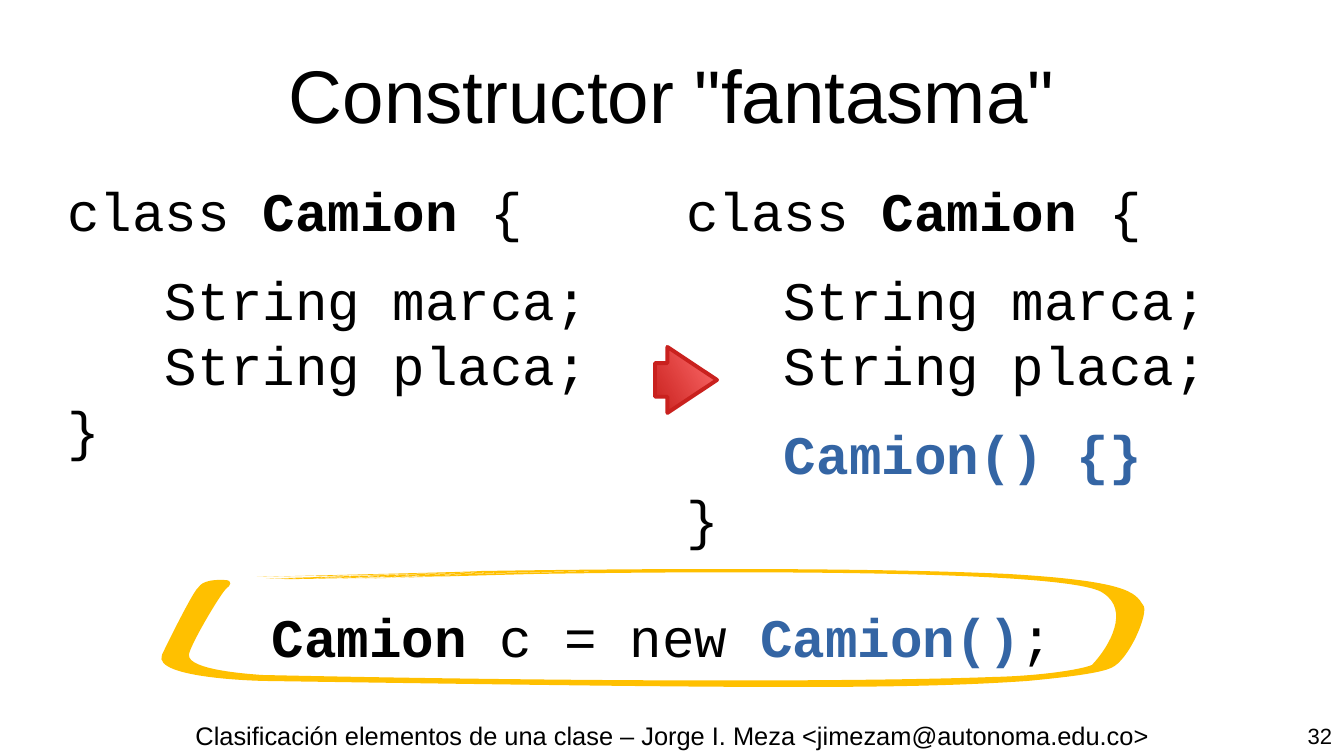
from lxml.etree import SubElement
from pptx import Presentation
from pptx.dml.color import RGBColor as Rgb
from pptx.enum.shapes import MSO_SHAPE as Kind
from pptx.enum.text import MSO_ANCHOR as Anchor, PP_ALIGN as Align
from pptx.oxml.ns import qn
from pptx.util import Pt

PX = 7495
HUES = {"ink": "000000", "blue": "3465A4", "gold": "FFC000",
        "rose": "FF6D6D", "red": "C9211E"}
MONO = "Courier New"
GAP = 14.2
TAB = 98
HEAD = [("class ", {}), ("Camion", {"bold": True}), (" {", {})]
MARK = {"bold": True, "hue": "blue"}
START = (982, 36)
BRUSH = [
    (974, 23, 965, 12, 847, 5), (652, -4, 336, 2, 321, 2),
    (317, 3, 89, 8, 96, 8), (98, 8, 331, 3, 327, 3),
    (301, 3, 140, 8, 156, 7), (167, 7, 371, 2, 384, 2),
    (388, 2, 137, 8, 105, 10), (220, 7, 395, 2, 458, 2),
    (397, 3, 172, 8, 129, 10), (124, 10, 343, 5, 365, 5),
    (372, 5, 165, 8, 123, 10), (120, 11, 264, 7, 325, 6),
    (320, 6, 199, 10, 182, 10), (199, 10, 367, 5, 375, 5),
    (375, 5, 372, 5, 375, 5),
    (376, 5, 903, -5, 942, 24), (969, 41, 949, 77, 931, 96),
    (919, 101, 877, 107, 833, 108), (700, 113, 420, 113, 101, 106),
    (88, 105, 27, 101, 28, 86), (28, 78, 61, 22, 66, 19),
    (68, 18, 74, 11, 63, 11), (39, 10, 38, 19, 37, 19),
    (33, 21, 7, 73, 1, 86), (-9, 110, 103, 112, 105, 112),
    (571, 119, 736, 121, 866, 112), (920, 107, 941, 103, 950, 99),
    (968, 92, 989, 42, 982, 36),
]


def tint(fill, hue):
    """Fill with one named colour."""
    fill.solid()
    fill.fore_color.rgb = Rgb.from_string(HUES[hue])


def scale(box):
    """Turn a box in px into EMU."""
    return [n * PX for n in box]


def write(slide, box, lines, size, font="Arial", align=Align.LEFT,
          inset=(0, 0), anchor=Anchor.TOP):
    """Write lines, each a tuple of runs, space before and indent, in a box."""
    frame = slide.shapes.add_textbox(*scale(box)).text_frame
    frame.word_wrap = True
    frame.vertical_anchor = anchor
    frame.margin_left = frame.margin_right = inset[0] * PX
    frame.margin_top = frame.margin_bottom = inset[1] * PX
    for i, (runs, space, indent) in enumerate(lines):
        para = frame.paragraphs[0] if i == 0 else frame.add_paragraph()
        para.alignment = align
        para.space_before = Pt(space)
        if indent:
            para._p.get_or_add_pPr().set("marL", str(indent * PX))
        for text, look in runs:
            run = para.add_run()
            run.text = text
            run.font.name = font
            run.font.size = Pt(size)
            run.font.bold = look.get("bold", False)
            tint(run.font.fill, look.get("hue", "ink"))


def title(slide, box):
    """Place the centred heading."""
    write(slide, box, [([('Constructor "fantasma"', {})], 0, 0)], 44,
          align=Align.CENTER, anchor=Anchor.MIDDLE)


def code(slide, box, extra=()):
    """Place a class listing with optional extra members."""
    lines = [(HEAD, GAP, 0),
             ([("String marca;", {})], GAP, TAB),
             ([("String placa;", {})], 0, TAB)]
    lines += [([(text, MARK)], GAP, TAB) for text in extra]
    write(slide, box, lines + [([("}", {})], 0, 0)], 32, MONO)


def bend(shape, box):
    """Turn each three line segments into a cubic curve and fit the box."""
    left, top, wide, high = scale(box)
    shift = {"x": shape.left - left, "y": shape.top - top}
    route = shape._element.find(".//" + qn("a:path"))
    for dot in route.iter(qn("a:pt")):
        for key, move in shift.items():
            dot.set(key, str(int(dot.get(key)) + move))
    legs = route.findall(qn("a:lnTo"))
    for first, *rest in zip(legs[::3], legs[1::3], legs[2::3]):
        cubic = SubElement(route, qn("a:cubicBezTo"))
        route.replace(first, cubic)
        for leg in (first, *rest):
            cubic.append(leg[0])
        for leg in rest:
            route.remove(leg)
    route.set("w", str(wide))
    route.set("h", str(high))
    shape.left, shape.top, shape.width, shape.height = left, top, wide, high


def call(slide, box):
    """Place the constructor call and its brush ring."""
    left, top, wide, high = box
    runs = [("Camion", {"bold": True}), (" c = new ", {}),
            ("Camion()", MARK), (";", {})]
    write(slide, (left - 72, top + 28, wide + 164, high - 31),
          [(runs, 0, 0)], 32, MONO, Align.CENTER, (12, 6))
    dots = [((left + x) * PX, (top + y) * PX)
            for seg in BRUSH for x, y in zip(seg[::2], seg[1::2])]
    pen = slide.shapes.build_freeform((left + START[0]) * PX,
                                      (top + START[1]) * PX, scale=1.0)
    pen.add_line_segments(dots, close=True)
    ring = pen.convert_to_shape()
    bend(ring, box)
    ring.shadow.inherit = False
    tint(ring.fill, "gold")
    ring.line.fill.background()


def arrow(slide, box):
    """Place the red arrow between the listings."""
    shape = slide.shapes.add_shape(Kind.RIGHT_ARROW, *scale(box))
    shape.shadow.inherit = False
    shape.adjustments[0] = 0.51
    shape.adjustments[1] = 0.8
    shape.fill.gradient()
    shape.fill.gradient_angle = 210
    for stop, hue in zip(shape.fill.gradient_stops, ("rose", "red")):
        stop.color.rgb = Rgb.from_string(HUES[hue])
    tint(shape.line.fill, "red")
    shape.line.width = Pt(2.3)
    SubElement(shape.line._get_or_add_ln(), qn("a:round"))


def footer(slide, box):
    """Place the credit and the page number."""
    left, top, wide, high = box
    note = "Clasificación elementos de una clase – Jorge I. Meza <jimezam@autonoma.edu.co>"
    write(slide, (left + 132, top, 1081, high), [([(note, {})], 0, 0)], 15,
          align=Align.CENTER, inset=(12, 6))
    write(slide, (left + wide - 124, top + 2, 124, high - 1),
          [([("32", {})], 0, 0)], 13, align=Align.RIGHT, inset=(12, 6))


def main():
    """Build and save the slide."""
    deck = Presentation()
    deck.slide_width, deck.slide_height = 1344 * PX, 756 * PX
    slide = deck.slides.add_slide(deck.slide_layouts[6])
    footer(slide, (0, 714, 1344, 46))
    title(slide, (67, 30, 1210, 127))
    code(slide, (67, 177, 590, 537))
    code(slide, (686, 177, 590, 537), ["Camion() {}"])
    call(slide, (161, 569, 983, 118))
    arrow(slide, (655, 347, 62, 66))
    deck.save("out.pptx")


if __name__ == "__main__":
    main()
